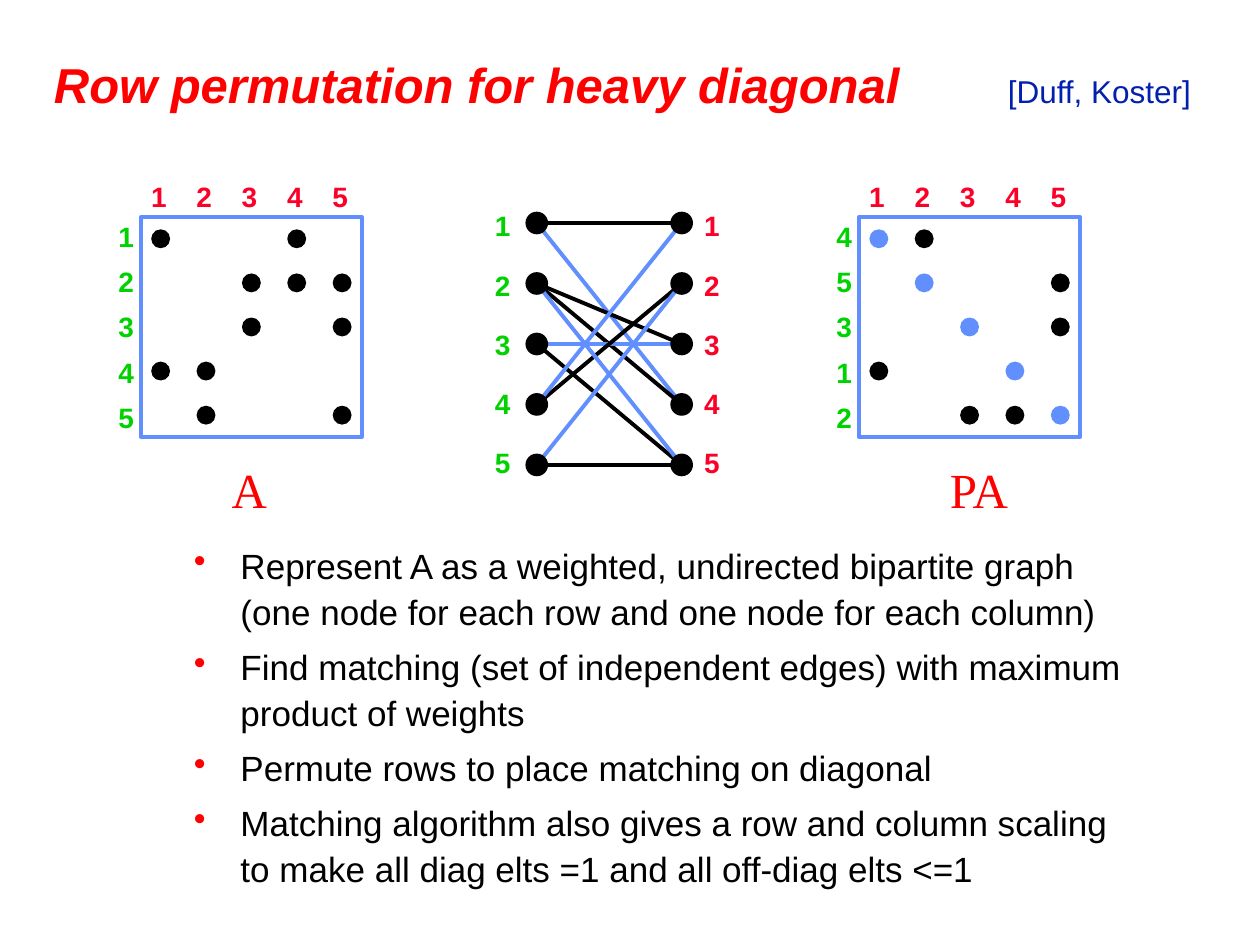
"""Build a slide on permuting matrix rows for a heavy diagonal."""
from lxml import etree
from pptx import Presentation
from pptx.dml.color import RGBColor
from pptx.enum import shapes, text
from pptx.oxml import ns
from pptx.util import Inches, Pt

COLORS = {
    "black": "000000", "red": "FF0000", "navy": "021FAE",
    "blue": "618FFD", "column": "FC0128", "row": "00D200",
}
ENTRIES = [(1, 4), (2, 4), (2, 3), (1, 1), (3, 3), (5, 5),
           (3, 5), (4, 2), (5, 2), (4, 1), (2, 5)]
NATURAL_ORDER = [1, 2, 3, 4, 5]
MATCHED_ORDER = [4, 5, 3, 1, 2]
BULLETS = [
    "Represent A as a weighted, undirected bipartite graph (one node for each row and one node for each column)",
    "Find matching (set of independent edges) with maximum product of weights",
    "Permute rows to place matching on diagonal",
    "Matching algorithm also gives a row and column scaling \vto make all diag elts =1 and all off-diag elts <=1",
]


def add_label(parent, content, left, top, width, height, color, size=16, font="Arial", bold=True):
    frame = parent.add_textbox(Inches(left), Inches(top), Inches(width), Inches(height)).text_frame
    frame.word_wrap = False
    paragraph = frame.paragraphs[0]
    paragraph.text = str(content)
    paragraph.font.name = font
    paragraph.font.size = Pt(size)
    paragraph.font.bold = bold
    paragraph.font.color.rgb = RGBColor.from_string(COLORS[color])


def add_dot(parent, left, top, size, color):
    dot = parent.add_shape(shapes.MSO_SHAPE.OVAL, Inches(left), Inches(top), Inches(size), Inches(size))
    dot.shadow.inherit = False
    dot.fill.solid()
    dot.fill.fore_color.rgb = RGBColor.from_string(COLORS[color])
    dot.line.fill.background()


presentation = Presentation()
presentation.slide_width, presentation.slide_height = Inches(10), Inches(7.5)
slide = presentation.slides.add_slide(presentation.slide_layouts[6])

title = slide.shapes.add_textbox(Inches(0.33), Inches(0.33), Inches(9.42), Inches(0.67)).text_frame
title.word_wrap = True
title.vertical_anchor = text.MSO_ANCHOR.MIDDLE
paragraph = title.paragraphs[0]
tabs = etree.SubElement(paragraph._p.get_or_add_pPr(), ns.qn("a:tabLst"))
etree.SubElement(tabs, ns.qn("a:tab"), pos=str(Inches(7.57)), algn="l")
paragraph.font.name = "Arial"
for content, size, color, strong in [
    ("Row permutation for heavy diagonal\t", 28, "red", True),
    ("[Duff, Koster]", 18, "navy", False),
]:
    run = paragraph.add_run()
    run.text = content
    run.font.size = Pt(size)
    run.font.bold = run.font.italic = strong
    run.font.color.rgb = RGBColor.from_string(COLORS[color])

body = slide.shapes.add_textbox(Inches(1.44), Inches(4.24), Inches(7.75), Inches(2.92)).text_frame
body.word_wrap = True
for index, content in enumerate(BULLETS):
    paragraph = body.add_paragraph() if index else body.paragraphs[0]
    paragraph.text = content
    properties = paragraph._p.get_or_add_pPr()
    properties.set("marL", str(Inches(0.37)))
    properties.set("indent", str(Inches(-0.37)))
    bullet_color = etree.SubElement(properties, ns.qn("a:buClr"))
    etree.SubElement(bullet_color, ns.qn("a:srgbClr"), val=COLORS["red"])
    etree.SubElement(properties, ns.qn("a:buChar"), char="•")
    paragraph.line_spacing = 1.1
    paragraph.space_before = Pt(5)
    paragraph.font.name = "Arial"
    paragraph.font.size = Pt(20)
    paragraph.font.color.rgb = RGBColor.from_string(COLORS["black"])

for name, left, order, name_width in [
    ("A", 1.12, NATURAL_ORDER, 0.48),
    ("PA", 6.82, MATCHED_ORDER, 0.69),
]:
    matrix = slide.shapes.add_group_shape().shapes
    for row, column in ENTRIES:
        position = order.index(row)
        on_matching = order == MATCHED_ORDER and position == column - 1
        add_dot(matrix, left + 0.08 + 0.36 * (column - 1), 1.82 + 0.35 * position, 0.15,
                "blue" if on_matching else "black")
    border = matrix.add_shape(shapes.MSO_SHAPE.RECTANGLE, Inches(left), Inches(1.72), Inches(1.75), Inches(1.75))
    border.shadow.inherit = False
    border.fill.background()
    border.line.color.rgb = RGBColor.from_string(COLORS["blue"])
    border.line.width = Pt(2.25)
    for index, row in enumerate(order):
        add_label(matrix, index + 1, left - 0.02 + 0.36 * index, 1.38, 0.32, 0.37, "column")
        add_label(matrix, row, left - 0.28, 1.69 + 0.36 * index, 0.32, 0.37, "row")
    add_label(matrix, name, left + 0.62, 3.6, name_width, 0.57, "red", 28, "Times New Roman", False)

graph = slide.shapes.add_group_shape().shapes
for row, column in ENTRIES:
    edge = graph.add_connector(
        shapes.MSO_CONNECTOR.STRAIGHT,
        Inches(4.26), Inches(1.77 + 0.48 * (row - 1)),
        Inches(5.41), Inches(1.77 + 0.48 * (column - 1)))
    on_matching = MATCHED_ORDER[column - 1] == row
    edge.line.color.rgb = RGBColor.from_string(COLORS["blue" if on_matching else "black"])
    edge.line.width = Pt(2.25)
    etree.SubElement(edge._element.spPr, ns.qn("a:effectLst"))
for node_left, label_left, color in [(4.17, 3.83, "row"), (5.32, 5.49, "column")]:
    for index, number in enumerate(NATURAL_ORDER):
        add_dot(graph, node_left, 1.68 + 0.48 * index, 0.18, "black")
        add_label(graph, number, label_left, 1.61 + 0.47 * index, 0.32, 0.37, color)

presentation.save("out.pptx")
